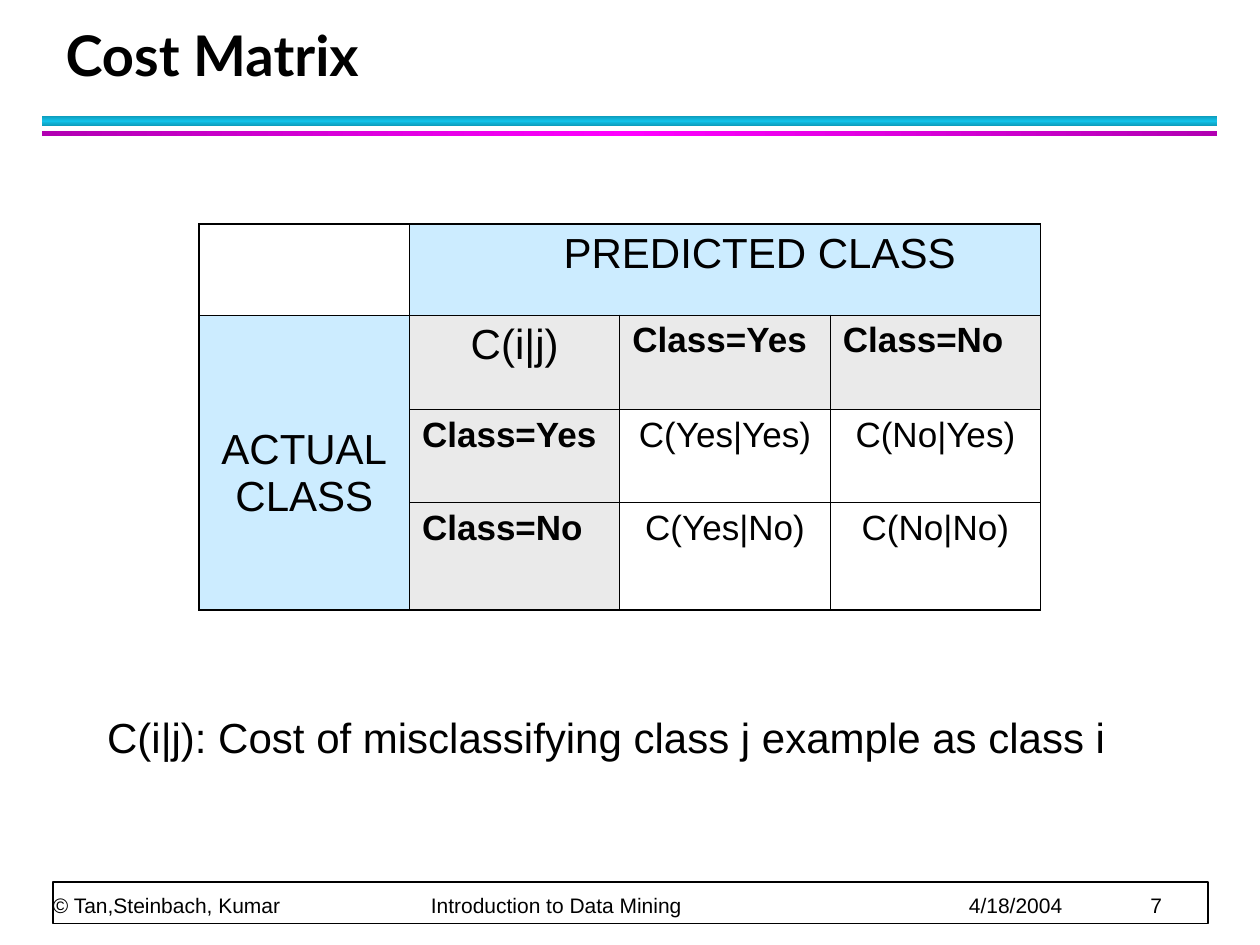
"""Build the Cost Matrix slide."""
import copy

import pptx
import pptx.dml.color
import pptx.enum.shapes
import pptx.enum.text
import pptx.oxml
import pptx.oxml.ns
import pptx.util

Inches = pptx.util.Inches
Pt = pptx.util.Pt
qn = pptx.oxml.ns.qn
ALIGN = pptx.enum.text.PP_ALIGN
ANCHOR = pptx.enum.text.MSO_ANCHOR
RECT = pptx.enum.shapes.MSO_SHAPE.RECTANGLE
NS = 'xmlns:a="http://schemas.openxmlformats.org/drawingml/2006/main"'


def color(code):
    """Turn a hex string into a colour."""
    return pptx.dml.color.RGBColor.from_string(code)


def style(para, size, bold=False, face="Arial"):
    """Format the runs of a paragraph."""
    para.space_before = Pt(0)
    for run in para.runs:
        run.font.size = Pt(size)
        run.font.bold = bold
        run.font.name = face
        run.font.color.rgb = color("000000")


deck = pptx.Presentation()
deck.slide_width, deck.slide_height = Inches(10), Inches(7.5)
slide = deck.slides.add_slide(deck.slide_layouts[1])
shapes = slide.shapes

bars = [
    (0.92, 0.08, 90, "0E9BBA", "12C2E9"),
    (1.04, 0.04, 0, "B200B2", "FF00FF"),
]
for top, height, angle, edge, middle in bars:
    bar = shapes.add_shape(RECT, Inches(0.33), Inches(top), Inches(9.33), Inches(height))
    bar.shadow.inherit = False
    bar.line.fill.background()
    bar.fill.gradient()
    bar.fill.gradient_angle = angle
    for stop in bar.fill.gradient_stops:
        stop.color.rgb = color(edge)
    stops = bar._element.spPr.find(".//" + qn("a:gsLst"))
    stops.insert(1, copy.deepcopy(stops[0]))
    bar.fill.gradient_stops[1].position = 0.5
    bar.fill.gradient_stops[1].color.rgb = color(middle)

frame = shapes.add_shape(RECT, Inches(0.42), Inches(7), Inches(9.17), Inches(0.33))
frame.shadow.inherit = False
frame.fill.solid()
frame.fill.fore_color.rgb = color("FFFFFF")
frame.line.color.rgb = color("000000")
frame.line.width = Pt(1)

foot = shapes.add_textbox(Inches(0.42), Inches(6.72), Inches(9.15), Inches(0.56))
text = foot.text_frame
text.word_wrap = True
text.vertical_anchor = ANCHOR.BOTTOM
text.margin_left = text.margin_right = text.margin_top = text.margin_bottom = 0
text.text = "© Tan,Steinbach, Kumar\tIntroduction to Data Mining\t4/18/2004\t7"
para = text.paragraphs[0]
para.line_spacing = Pt(20)
tabs = "".join(f'<a:tab pos="{Inches(x)}" algn="l"/>' for x in (3, 7.27, 8.71))
para._p.get_or_add_pPr().append(pptx.oxml.parse_xml(f"<a:tabLst {NS}>{tabs}</a:tabLst>"))
style(para, 12)

title = shapes.title
title.left, title.top = Inches(0.42), Inches(0.17)
title.width, title.height = Inches(9.06), Inches(0.58)
text = title.text_frame
text.text = "Cost Matrix"
text.auto_size = pptx.enum.text.MSO_AUTO_SIZE.NONE
text.vertical_anchor = ANCHOR.BOTTOM
para = text.paragraphs[0]
para.alignment = ALIGN.LEFT
para.line_spacing = Pt(36)
style(para, 32, True, "Lato")

rows = [
    ["", "PREDICTED CLASS", "", ""],
    ["ACTUAL\vCLASS", "C(i|j)", "Class=Yes", "Class=No"],
    ["", "Class=Yes", "C(Yes|Yes)", "C(No|Yes)"],
    ["", "Class=No", "C(Yes|No)", "C(No|No)"],
]
table = shapes.add_table(4, 4, Inches(1.58), Inches(1.78), Inches(6.67), Inches(3.06)).table
table.first_row = table.horz_banding = False
for col in table.columns:
    col.width = Inches(1.67)
for row, height in zip(table.rows, (0.72, 0.75, 0.74, 0.85)):
    row.height = Inches(height)
table.cell(0, 1).merge(table.cell(0, 3))
table.cell(1, 0).merge(table.cell(3, 0))

for i, row in enumerate(rows):
    for j, words in enumerate(row):
        cell = table.cell(i, j)
        if i and j and (i == 1 or j == 1):
            shade = "EAEAEA"
        else:
            shade = "CCECFF" if i + j and i * j == 0 else None
        if shade:
            cell.fill.solid()
            cell.fill.fore_color.rgb = color(shade)
        else:
            cell.fill.background()
        if words:
            cell.text_frame.text = words
            label = words.startswith("Class=")
            large = i == 0 or j == 0 or i == j == 1
            para = cell.text_frame.paragraphs[0]
            para.alignment = ALIGN.LEFT if label else ALIGN.CENTER
            style(para, 24 if large else 20, label)
        right, base = j + cell.span_width == 4, i + cell.span_height == 4
        sides = [("L", j == 0), ("R", right), ("T", i == 0), ("B", base)]
        props = cell._tc.get_or_add_tcPr()
        for n, (side, outer) in enumerate(sides):
            width = Pt(1.08 if outer else 0.45)
            props.insert(n, pptx.oxml.parse_xml(
                f'<a:ln{side} {NS} w="{width}"><a:solidFill>'
                f'<a:srgbClr val="000000"/></a:solidFill></a:ln{side}>'))

table.cell(0, 1).margin_left = Inches(0.65)
table.cell(1, 0).vertical_anchor = ANCHOR.MIDDLE
table.cell(1, 0).margin_top = Inches(0.23)

body = slide.placeholders[1]
body.left, body.top = Inches(0.75), Inches(5.6)
body.width, body.height = Inches(8.58), Inches(1)
text = body.text_frame
text.text = "C(i|j): Cost of misclassifying class j example as class i"
text.auto_size = pptx.enum.text.MSO_AUTO_SIZE.NONE
para = text.paragraphs[0]
props = para._p.get_or_add_pPr()
props.set("marL", str(Inches(0.32)))
props.set("indent", str(Inches(-0.32)))
props.append(pptx.oxml.parse_xml(f"<a:buNone {NS}/>"))
style(para, 24)

deck.save("out.pptx")
